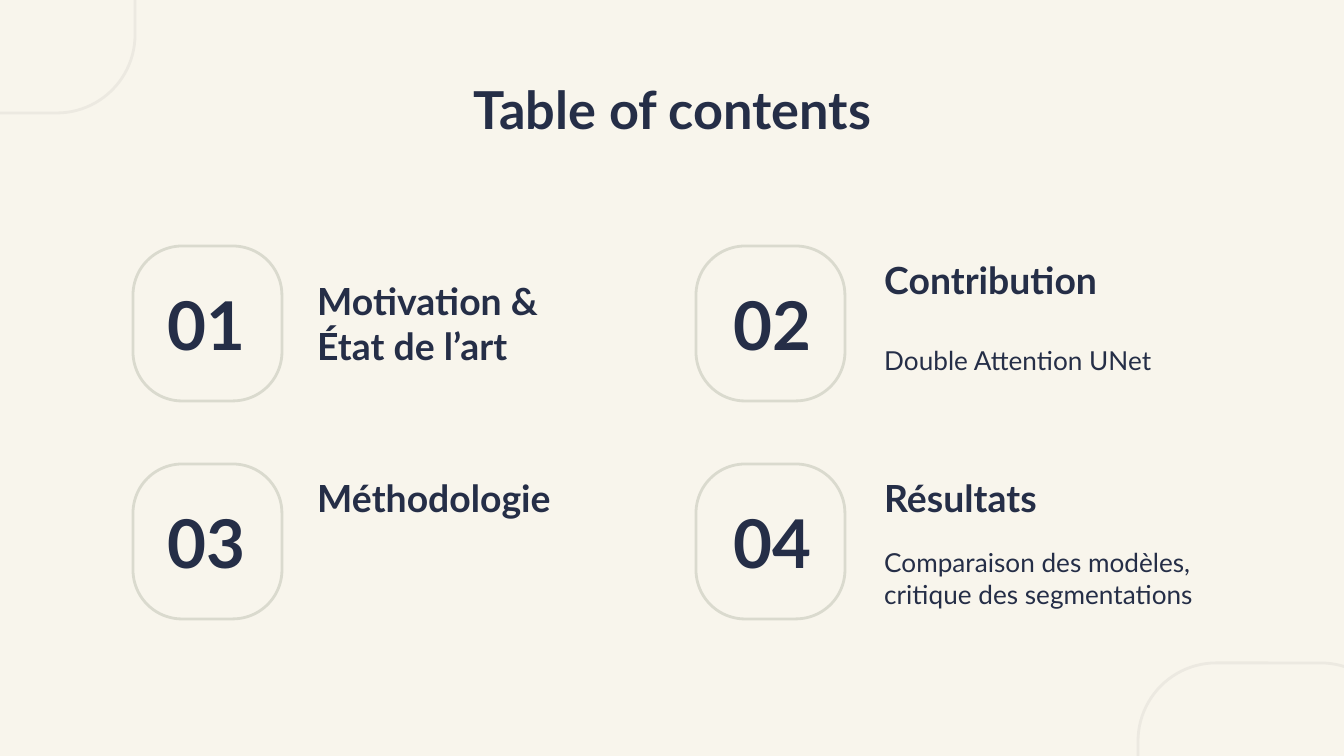
"""Build the table of contents slide."""
from pptx import Presentation
from pptx import util as u
from pptx.dml.color import RGBColor
from pptx.enum import shapes, text

PX = 914400 / 134.4
CREAM = RGBColor(0xF8, 0xF5, 0xEC)
NAVY = RGBColor(0x25, 0x2E, 0x47)
SAND = RGBColor(0xDA, 0xDA, 0xCE)
PALE = RGBColor(0xEC, 0xE9, 0xE1)
LEFT, CENTER = text.PP_ALIGN.LEFT, text.PP_ALIGN.CENTER

COLUMNS = ((133, -4, 171), (696, -1, 175))
TOP, ROW_STEP = 246, 218
ENTRIES = (
    ("Motivation &\vÉtat de l’art", 38, ""),
    ("Contribution", -5, ""
     "Double Attention UNet"),
    ("Méthodologie", -5, ""),
    ("Résultats", -5, "Comparaison des modèles,\ncritique des segmentations"),
)


def px(*lengths):
    """Turn pixel lengths into EMU."""
    return [u.Emu(round(n * PX)) for n in lengths]


def write(sp, words, size, bold=True, align=LEFT):
    """Set and format the text of a shape."""
    tf = sp.text_frame
    tf.word_wrap = True
    tf.auto_size = text.MSO_AUTO_SIZE.NONE
    tf.vertical_anchor = text.MSO_ANCHOR.MIDDLE
    tf.margin_left = tf.margin_right = u.Inches(0.1)
    tf.margin_top = tf.margin_bottom = u.Inches(0.1)
    tf.text = words
    for p in tf.paragraphs:
        p.alignment = align
        for r in p.runs:
            r.font.name = "Lato"
            r.font.size = u.Pt(size)
            r.font.bold = bold
            r.font.color.rgb = NAVY


def add_outline(s, box, color, rounding):
    """Draw an unfilled rounded rectangle."""
    sp = s.shapes.add_shape(shapes.MSO_SHAPE.ROUNDED_RECTANGLE, *px(*box))
    sp.adjustments[0] = rounding
    sp.shadow.inherit = False
    sp.fill.background()
    sp.line.color.rgb = color
    sp.line.width = u.Pt(1.5)


def add_corners(s, width, height):
    """Draw the two corner ornaments running over the slide edges."""
    for x, y in ((-126, -199), (width - 206, height - 93)):
        add_outline(s, (x, y, 261, 312), PALE, 0.3)


def add_title(s, box):
    """Place the slide title."""
    sp = s.shapes.title
    sp.left, sp.top, sp.width, sp.height = px(*box)
    write(sp, "Table of contents", 28, align=CENTER)


def add_entry(s, x, y, number_dx, text_dx, number, entry):
    """Place one numbered entry with its top left corner at x, y."""
    heading, heading_dy, detail = entry
    add_outline(s, (x, y, 149, 155), SAND, 0.33)
    sp = s.shapes.add_textbox(*px(x + number_dx, y, 155, 155))
    write(sp, f"{number:02}", 36, align=CENTER)
    sp = s.shapes.add_textbox(*px(x + text_dx, y + heading_dy, 339, 78))
    write(sp, heading, 20)
    if detail:
        sp = s.shapes.add_textbox(*px(x + text_dx, y + 75, 368, 78))
        write(sp, detail, 14, bold=False)


def main():
    """Build and save the presentation."""
    prs = Presentation()
    prs.slide_width, prs.slide_height = px(1344, 756)
    s = prs.slides.add_slide(prs.slide_layouts[5])
    s.background.fill.solid()
    s.background.fill.fore_color.rgb = CREAM
    add_corners(s, 1344, 756)
    add_title(s, (106, 66, 1133, 85))
    for i, entry in enumerate(ENTRIES):
        row, col = divmod(i, 2)
        x, number_dx, text_dx = COLUMNS[col]
        add_entry(s, x, TOP + row * ROW_STEP, number_dx, text_dx, i + 1, entry)
    prs.save("out.pptx")


if __name__ == "__main__":
    main()
